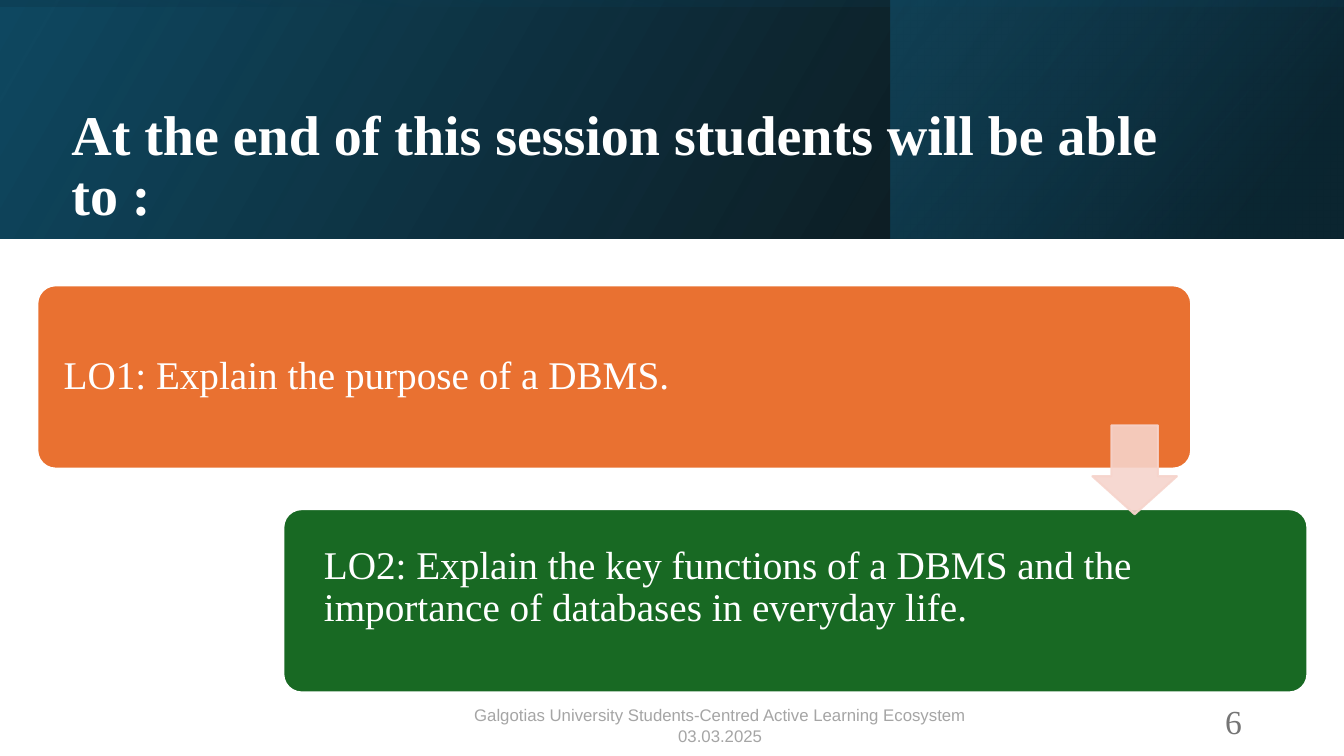
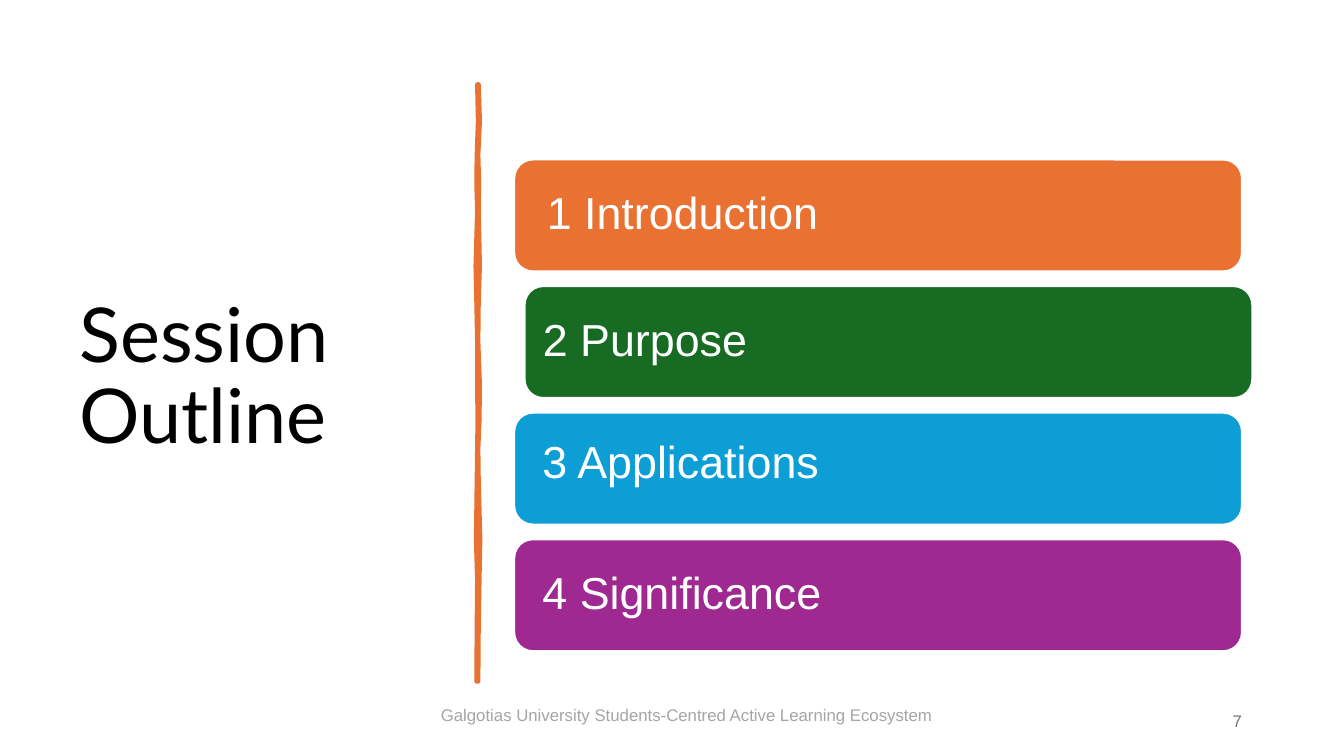
"""Build a learning-outcomes slide and a session-outline slide."""
from lxml import etree
from pptx import Presentation
from pptx.dml.color import RGBColor
from pptx.enum import shapes, text
from pptx.oxml.ns import qn
from pptx.util import Cm, Pt

WHITE = RGBColor(0xFF, 0xFF, 0xFF)
BLACK = RGBColor(0, 0, 0)
NAVY = RGBColor(0x0F, 0x48, 0x61)
DEEP = RGBColor(0x0A, 0x30, 0x41)
TEAL = RGBColor(0x15, 0x60, 0x82)
ORANGE = RGBColor(0xE9, 0x71, 0x31)
FOREST = RGBColor(0x18, 0x69, 0x23)
GREEN = RGBColor(0x17, 0x6B, 0x22)
BLUE = RGBColor(0x0C, 0x9E, 0xD5)
PURPLE = RGBColor(0xA0, 0x28, 0x91)
PINK = RGBColor(0xF6, 0xD4, 0xCC)
FOOTER_GREY = RGBColor(0xA5, 0xA5, 0xA5)
NUMBER_GREY = RGBColor(0x75, 0x75, 0x75)
SERIF, SANS, HEADING = "Times New Roman", "Arial", "Lato"
SHAPE, ALIGN, ANCHOR = shapes.MSO_SHAPE, text.PP_ALIGN, text.MSO_ANCHOR

FOOTER = "Galgotias University Students-Centred Active Learning Ecosystem"
BAND_HEIGHT = 6.02
BANDS = [
    (0, 33.87, 30, [(0, NAVY, 100), (100, BLACK, 95)]),
    (22.45, 11.4, 40, [(0, TEAL, 47), (81, DEEP, 67), (100, DEEP, 67)]),
    (0, 33.87, 100, [(0, NAVY, 15), (23, NAVY, 15), (100, BLACK, 44)]),
]
OUTCOMES = [
    ("LO1: Explain the purpose of a DBMS.", (0.94, 7.19, 29.08, 4.62),
     ORANGE, ANCHOR.MIDDLE, (0.53, 0.4, 0.4, 0.4)),
    ("LO2: Explain the key functions of a DBMS and the importance of "
     "databases in everyday life.", (7.14, 12.83, 25.81, 4.62),
     FOREST, ANCHOR.TOP, (0.89, 0.78, 1.27, 0)),
]
TOPICS = [
    ("1 Introduction", ORANGE, 12.95, 0.69, 0),
    ("2 Purpose", GREEN, 13.21, 0.33, 0),
    ("3 Applications", BLUE, 12.95, 0.58, 0.23),
    ("4 Significance", PURPLE, 12.95, 0.58, 0),
]
TOPIC_TOP, TOPIC_PITCH = 4.01, 3.19
BRUSH = [
    (2.13, 12.03, 12.06), (3.05, 12.05, 12.09), (3.9, 12.02, 12.05),
    (4.6, 12.01, 12.07), (5.3, 12.03, 12.06), (6.7, 11.99, 12.09),
    (7.6, 12.01, 12.06), (8.6, 12.03, 12.05), (9.7, 12.03, 12.09),
    (10.6, 12.04, 12.08), (11.3, 12.03, 12.05), (12.1, 12.02, 12.06),
    (13.6, 12.0, 12.1), (14.6, 12.03, 12.08), (15.8, 12.02, 12.06),
    (17.17, 12.01, 12.05),
]


def put_text(sp, words, size, font, color, align=ALIGN.LEFT,
             anchor=ANCHOR.MIDDLE, insets=(0.25, 0.13, 0.25, 0.13),
             spacing=None, bold=False):
    tf = sp.text_frame
    tf.text = words
    tf.word_wrap = True
    tf.auto_size = text.MSO_AUTO_SIZE.NONE
    tf.vertical_anchor = anchor
    tf.margin_left, tf.margin_top, tf.margin_right, tf.margin_bottom = map(Cm, insets)
    for p in tf.paragraphs:
        p.alignment = align
        p.line_spacing = spacing
        p.font.size, p.font.name, p.font.bold = Pt(size), font, bold
        p.font.color.rgb = color


def add_shape(s, kind, box, fill=None, line=None, width=1.5):
    sp = s.shapes.add_shape(kind, *map(Cm, box))
    sp.shadow.inherit = False
    if fill is not None:
        sp.fill.solid()
        sp.fill.fore_color.rgb = fill
    if line is None:
        sp.line.fill.background()
    else:
        sp.line.color.rgb = line
        sp.line.width = Pt(width)
    return sp


def set_alpha(color_element, percent):
    etree.SubElement(color_element, qn("a:alpha"), val=str(percent * 1000))


def add_band(s, left, width, angle, stops):
    sp = add_shape(s, SHAPE.RECTANGLE, (left, 0, width, BAND_HEIGHT))
    sp.fill.gradient()
    sp.fill.gradient_angle = 360 - angle
    stop_list = next(sp.element.spPr.iter(qn("a:gsLst")))
    for stop in list(stop_list):
        stop_list.remove(stop)
    for position, color, alpha in stops:
        stop = etree.SubElement(stop_list, qn("a:gs"), pos=str(position * 1000))
        set_alpha(etree.SubElement(stop, qn("a:srgbClr"), val=str(color)), alpha)


def add_card(s, box, fill, corner, width, words, size, font, **style):
    sp = add_shape(s, SHAPE.ROUNDED_RECTANGLE, box, fill, WHITE, width)
    sp.adjustments[0] = corner
    put_text(sp, words, size, font, WHITE, spacing=0.9, **style)


def add_title(s, words, box, size, font, color, bold=False):
    sp = s.shapes.title
    sp.left, sp.top, sp.width, sp.height = map(Cm, box)
    put_text(sp, words, size, font, color, spacing=0.9, bold=bold)
    s.shapes.element.append(sp.element)


def add_footer(s, number, size, font, words, left):
    sp = s.shapes.add_textbox(Cm(23.93), Cm(17.65), Cm(7.62), Cm(1.02))
    put_text(sp, number, size, font, NUMBER_GREY, ALIGN.RIGHT)
    sp = s.shapes.add_textbox(Cm(left), Cm(17.64), Cm(24.26), Cm(1.27))
    put_text(sp, words, 12, SANS, FOOTER_GREY, ALIGN.CENTER, ANCHOR.TOP)


def build_outcomes(s):
    for band in BANDS:
        add_band(s, *band)
    add_title(s, "At the end of this session students will be able to :",
              (1.55, 3.07, 29.29, 2.29), 40, SERIF, WHITE, bold=True)
    for words, box, fill, anchor, insets in OUTCOMES:
        add_card(s, box, fill, 0.1, 1.5, words, 28, SERIF,
                 anchor=anchor, insets=insets)
    arrow = add_shape(s, SHAPE.DOWN_ARROW, (27.53, 10.72, 2.13, 2.24), PINK, PINK)
    arrow.adjustments[0], arrow.adjustments[1] = 0.55, 0.45
    for color in arrow.element.spPr.iter(qn("a:srgbClr")):
        set_alpha(color, 89)
    add_footer(s, "6", 24, SERIF, FOOTER + "\n03.03.2025", 6.02)


def build_outline(s):
    add_title(s, "Session Outline", (1.75, 1.78, 9.5, 15.52), 54, HEADING, BLACK)
    points = [(Cm(right), Cm(y)) for y, left, right in BRUSH]
    points += [(Cm(left), Cm(y)) for y, left, right in reversed(BRUSH)]
    builder = s.shapes.build_freeform(*points[0])
    builder.add_line_segments(points[1:])
    sp = builder.convert_to_shape()
    sp.shadow.inherit = False
    sp.fill.solid()
    sp.fill.fore_color.rgb = sp.line.color.rgb = ORANGE
    sp.line.width = Pt(3.25)
    add_footer(s, "7", 12, SANS, FOOTER, 5.18)
    for i, (words, fill, left, inset, lift) in enumerate(TOPICS):
        box = (left, TOPIC_TOP + i * TOPIC_PITCH, 18.36, 2.84)
        add_card(s, box, fill, 0.17, 2, words, 32, SANS,
                 insets=(inset, 0, 0.4, lift))


def main():
    prs = Presentation()
    prs.slide_width, prs.slide_height = Cm(33.87), Cm(19.05)
    for build in (build_outcomes, build_outline):
        build(prs.slides.add_slide(prs.slide_layouts[5]))
    prs.save("out.pptx")


if __name__ == "__main__":
    main()
